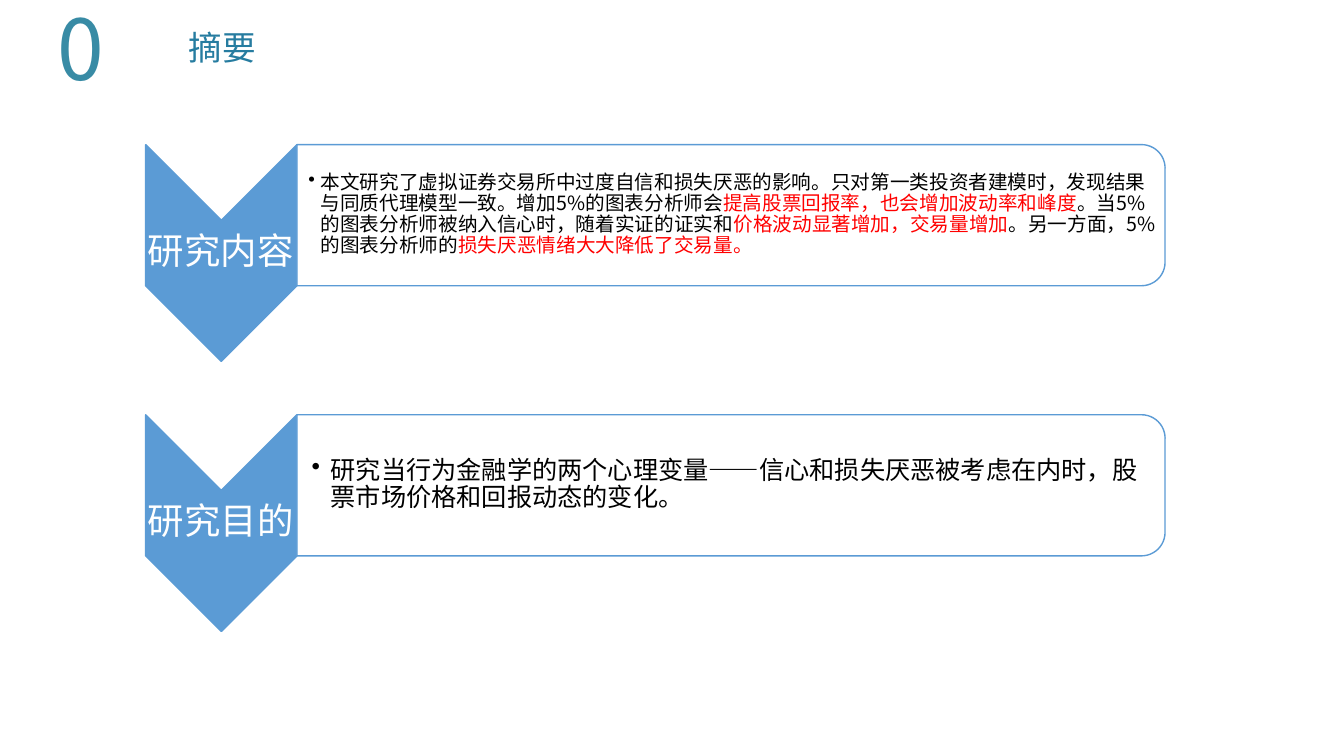
from lxml.etree import SubElement
from pptx import Presentation
from pptx.dml.color import RGBColor
from pptx.enum.shapes import MSO_SHAPE
from pptx.enum.text import MSO_ANCHOR, MSO_AUTO_SIZE, PP_ALIGN
from pptx.oxml.ns import qn
from pptx.util import Pt

PX = 9144
THEME = {
    "font": "Noto Sans CJK JP", "number_font": "Noto Sans CJK SC",
    "blue": "5B9BD5", "white": "FFFFFF", "black": "000000", "red": "FF0000",
    "title": "267CA0", "number": "388BA5",
    "title_size": 24, "number_size": 60, "label_size": 26,
}


def add_run(p, text, size, color, font="font"):
    r = p.add_run()
    r.text = text
    r.font.size = Pt(size)
    r.font.name = THEME[font]
    r.font.color.rgb = RGBColor.from_string(THEME[color])
    SubElement(r._r.get_or_add_rPr(), qn("a:ea"), typeface=THEME[font])


def add_text(shapes, x, y, w, h, left, pad):
    tf = shapes.add_textbox(x * PX, y * PX, w * PX, h * PX).text_frame
    tf.word_wrap = True
    tf.vertical_anchor = MSO_ANCHOR.MIDDLE
    tf.margin_left = left * PX
    tf.margin_top = tf.margin_right = tf.margin_bottom = pad * PX
    return tf.paragraphs[0]


SECTIONS = [
    ("研究内容", 14, 11, 12, [
        ("本文研究了虚拟证券交易所中过度自信和损失厌恶的影响。只对第一类投资者建模时，发现结果与同质代理模型一致。增加5%的图表分析师会", "black"),
        ("提高股票回报率，也会增加波动率和峰度", "red"),
        ("。当5%的图表分析师被纳入信心时，随着实证的证实和", "black"),
        ("价格波动显著增加，交易量增加", "red"),
        ("。另一方面，5%的图表分析师的", "black"),
        ("损失厌恶情绪大大降低了交易量。", "red"),
    ]),
    ("研究目的", 18, 14, 19, [
        ("研究当行为金融学的两个心理变量——信心和损失厌恶被考虑在内时，股票市场价格和回报动态的变化。", "black"),
    ]),
]

prs = Presentation()
prs.slide_width, prs.slide_height = 1333 * PX, 750 * PX
s = prs.slides.add_slide(prs.slide_layouts[5])

title = s.shapes.title
title.left, title.top, title.width, title.height = 177 * PX, 22 * PX, 475 * PX, 50 * PX
tf = title.text_frame
tf.vertical_anchor = MSO_ANCHOR.TOP
tf.auto_size = MSO_AUTO_SIZE.SHAPE_TO_FIT_TEXT
p = tf.paragraphs[0]
p.alignment = PP_ALIGN.LEFT
add_run(p, "摘要", THEME["title_size"], "title")

for i, (label, size, inset, hang, runs) in enumerate(SECTIONS):
    top = 268 * i
    outlines = [
        (MSO_SHAPE.CHEVRON, 112, 176, 215, 150, "blue"),
        (MSO_SHAPE.ROUND_2_SAME_RECTANGLE, 655, -217, 140, 861, "white"),
    ]
    for kind, x, y, w, h, fill in outlines:
        sp = s.shapes.add_shape(kind, x * PX, (y + top) * PX, w * PX, h * PX)
        sp.rotation = 90
        sp.shadow.inherit = False
        sp.fill.solid()
        sp.fill.fore_color.rgb = RGBColor.from_string(THEME[fill])
        sp.line.color.rgb = RGBColor.from_string(THEME["blue"])
        sp.line.width = Pt(1)
    panel_color = sp._element.spPr.find(qn("a:solidFill"))[0]
    SubElement(panel_color, qn("a:alpha"), val="90000")

    p = add_text(s.shapes, 144, 219 + top, 150, 64, 2, 2)
    p.alignment = PP_ALIGN.CENTER
    p.line_spacing = 0.9
    add_run(p, label, THEME["label_size"], "white")

    p = add_text(s.shapes, 295, 150 + top, 854, 126, inset, 1)
    p.level = 1
    pPr = p._p.get_or_add_pPr()
    pPr.set("marL", str(hang * PX))
    pPr.set("indent", str(-hang * PX))
    SubElement(pPr, qn("a:buChar"), char="•")
    p.line_spacing = 0.9
    for text, color in runs:
        add_run(p, text, size, color)

tf = s.shapes.add_textbox(47 * PX, -8 * PX, 69 * PX, 111 * PX).text_frame
tf.word_wrap = False
tf.auto_size = MSO_AUTO_SIZE.SHAPE_TO_FIT_TEXT
add_run(tf.paragraphs[0], "0", THEME["number_size"], "number", "number_font")

prs.save("out.pptx")
